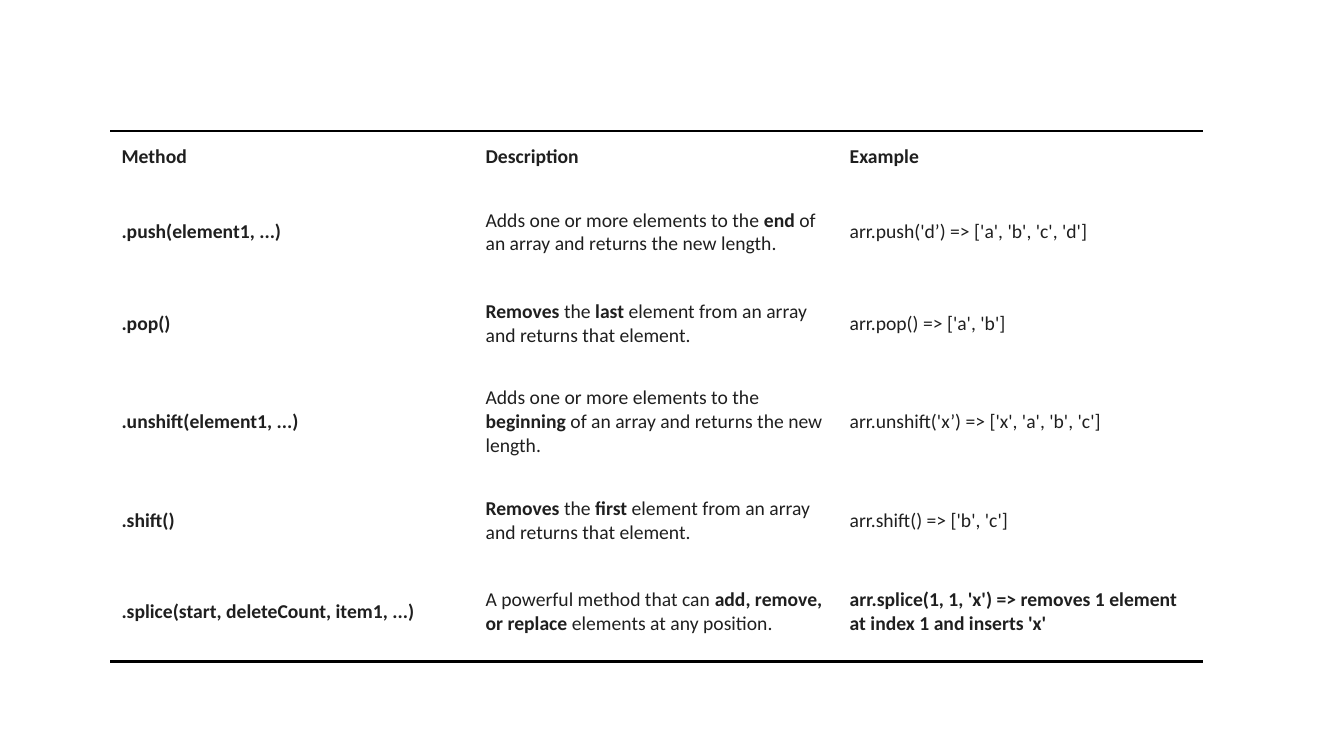
from lxml.etree import SubElement
from pptx import Presentation
from pptx.dml.color import RGBColor
from pptx.enum.text import MSO_ANCHOR
from pptx.oxml.ns import qn
from pptx.util import Pt

WHITE = RGBColor(0xFF, 0xFF, 0xFF)
BLACK = RGBColor(0, 0, 0)
INK = RGBColor(0x1F, 0x1F, 0x1F)
FONT = "Calibri"
RULE_WIDTH = 2

# Text between ** marks is bold.
METHOD_ROWS = [
    ("**Method**", "**Description**", "**Example**"),
    ("**.push(element1, ...)**",
     "Adds one or more elements to the **end** of an array and returns the new length.",
     "arr.push('d’) => ['a', 'b', 'c', 'd']"),
    ("**.pop()**",
     "**Removes** the **last** element from an array and returns that element.",
     "arr.pop() => ['a', 'b']"),
    ("**.unshift(element1, ...)**",
     "Adds one or more elements to the **beginning** of an array and returns the new length.",
     "arr.unshift('x’) => ['x', 'a', 'b', 'c']"),
    ("**.shift()**",
     "**Removes** the **first** element from an array and returns that element.",
     "arr.shift() => ['b', 'c']"),
    ("**.splice(start, deleteCount, item1, ...)**",
     "A powerful method that can **add, remove, or replace** elements at any position.",
     "**arr.splice(1, 1, 'x') => removes 1 element at index 1 and inserts 'x'**"),
]
ROW_HEIGHTS = [36.9, 71.2, 59.2, 81.6, 59.2, 71.2]


def set_borders(cell, ruled_sides):
    """Draw a black rule on the given sides and clear the others."""
    properties = cell._tc.get_or_add_tcPr()
    for side in "LRTB":
        line = SubElement(properties, qn(f"a:ln{side}"))
        if side in ruled_sides:
            line.set("w", str(Pt(RULE_WIDTH)))
            solid = SubElement(line, qn("a:solidFill"))
            SubElement(solid, qn("a:srgbClr")).set("val", str(BLACK))
        else:
            line.set("w", "0")
            SubElement(line, qn("a:noFill"))


def write_marked_text(paragraph, marked_text):
    for index, part in enumerate(marked_text.split("**")):
        if part:
            run = paragraph.add_run()
            run.text = part
            run.font.name = FONT
            run.font.size = Pt(14)
            run.font.bold = index % 2 == 1
            run.font.color.rgb = INK


def fill_cell(cell, marked_text, ruled_sides):
    set_borders(cell, ruled_sides)
    cell.fill.solid()
    cell.fill.fore_color.rgb = WHITE
    cell.vertical_anchor = MSO_ANCHOR.MIDDLE
    cell.margin_left = cell.margin_right = Pt(8)
    cell.margin_top = cell.margin_bottom = Pt(6)
    write_marked_text(cell.text_frame.paragraphs[0], marked_text)


def add_methods_table(slide, left, top, width):
    column_count = len(METHOD_ROWS[0])
    last_row = len(METHOD_ROWS) - 1
    methods = slide.shapes.add_table(
        len(METHOD_ROWS), column_count,
        Pt(left), Pt(top), Pt(width), Pt(sum(ROW_HEIGHTS))).table
    methods.first_row = methods.horz_banding = False
    for column in methods.columns:
        column.width = Pt(width / column_count)
    for row_index, texts in enumerate(METHOD_ROWS):
        methods.rows[row_index].height = Pt(ROW_HEIGHTS[row_index])
        ruled_sides = {0: "T", last_row: "B"}.get(row_index, "")
        for column_index, marked_text in enumerate(texts):
            fill_cell(methods.cell(row_index, column_index), marked_text, ruled_sides)


def main():
    deck = Presentation()
    deck.slide_width, deck.slide_height = Pt(960), Pt(540)
    slide = deck.slides.add_slide(deck.slide_layouts[6])
    add_methods_table(slide, left=78.8, top=93.4, width=780.3)
    deck.save("out.pptx")


if __name__ == "__main__":
    main()
